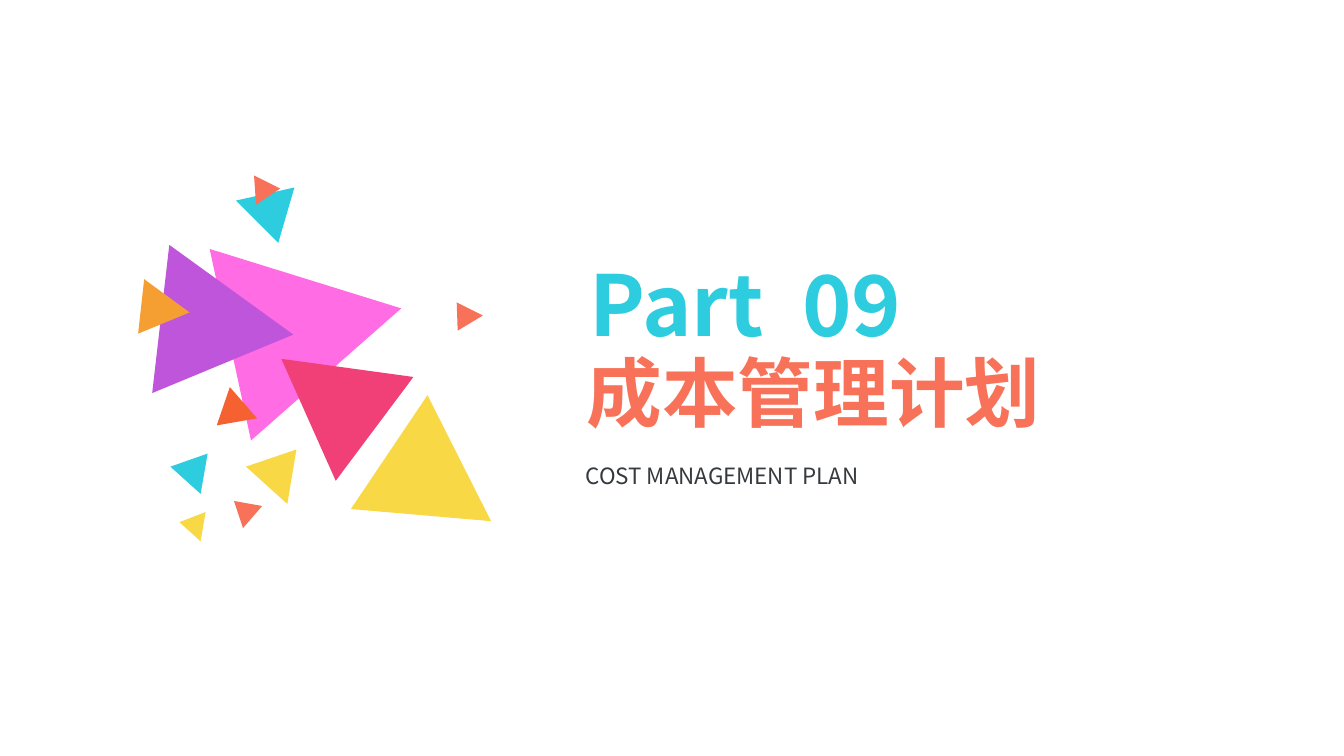
from dataclasses import dataclass

from pptx import Presentation
from pptx.dml.color import RGBColor
from pptx.enum.text import MSO_ANCHOR, MSO_AUTO_SIZE
from pptx.oxml.ns import qn
from pptx.util import Inches, Pt


@dataclass(frozen=True)
class Theme:
    font: str = "Noto Sans CJK SC"
    cyan: str = "2DCCDF"
    pink: str = "FF6CE4"
    purple: str = "BF55DB"
    amber: str = "F59E32"
    orange: str = "F56130"
    yellow: str = "F8D845"
    coral: str = "F77258"
    crimson: str = "F04077"
    ink: str = "353A3E"
    part_size: int = 60
    title_size: int = 54
    subtitle_size: int = 16


THEME = Theme()

TRIANGLES = [
    (THEME.cyan, [(2.92, 1.86), (2.76, 2.41), (2.34, 1.99)]),
    (THEME.pink, [(2.49, 4.37), (2.08, 2.47), (3.98, 3.06)]),
    (THEME.purple, [(1.51, 3.9), (1.68, 2.43), (2.91, 3.32)]),
    (THEME.amber, [(1.37, 3.31), (1.43, 2.77), (1.88, 3.1)]),
    (THEME.orange, [(2.15, 4.22), (2.28, 3.84), (2.55, 4.15)]),
    (THEME.cyan, [(1.69, 4.63), (2.06, 4.5), (1.99, 4.9)]),
    (THEME.yellow, [(1.78, 5.18), (2.04, 5.08), (1.99, 5.37)]),
    (THEME.coral, [(2.41, 5.24), (2.32, 4.97), (2.6, 5.02)]),
    (THEME.yellow, [(2.44, 4.63), (2.94, 4.46), (2.85, 5)]),
    (THEME.yellow, [(3.48, 5.05), (4.24, 3.92), (4.87, 5.17)]),
    (THEME.crimson, [(4.1, 3.74), (3.33, 4.77), (2.79, 3.56)]),
    (THEME.coral, [(4.54, 3.28), (4.53, 3), (4.79, 3.13)]),
    (THEME.coral, [(2.54, 2.03), (2.52, 1.74), (2.78, 1.87)]),
]


def add_triangle(page, color, corners):
    points = [(Inches(x), Inches(y)) for x, y in corners]
    builder = page.shapes.build_freeform(*points[0])
    builder.add_line_segments(points[1:], close=True)
    triangle = builder.convert_to_shape()
    triangle.shadow.inherit = False
    triangle.fill.solid()
    triangle.fill.fore_color.rgb = RGBColor.from_string(color)
    triangle.line.fill.background()


def add_text(page, text, *, left, top, width, height, size, color, bold=False):
    box = page.shapes.add_textbox(
        Inches(left), Inches(top), Inches(width), Inches(height)
    )
    frame = box.text_frame
    frame.word_wrap = True
    frame.auto_size = MSO_AUTO_SIZE.NONE
    frame.vertical_anchor = MSO_ANCHOR.MIDDLE
    span = frame.paragraphs[0].add_run()
    span.text = text
    span.font.name = THEME.font
    span.font.size = Pt(size)
    span.font.bold = bold
    span.font.color.rgb = RGBColor.from_string(color)
    east_asian = span.font._element.makeelement(
        qn("a:ea"), {"typeface": THEME.font}
    )
    span.font._element.find(qn("a:latin")).addnext(east_asian)


def main():
    deck = Presentation()
    deck.slide_width = Inches(13.33)
    deck.slide_height = Inches(7.5)
    page = deck.slides.add_slide(deck.slide_layouts[6])

    for color, corners in TRIANGLES:
        add_triangle(page, color, corners)

    add_text(page, "Part  09", left=5.75, top=2.45, width=4.5, height=1.11,
             size=THEME.part_size, color=THEME.cyan, bold=True)
    add_text(page, "成本管理计划", left=5.72, top=3.38, width=7.08, height=1.01,
             size=THEME.title_size, color=THEME.coral, bold=True)
    add_text(page, "COST MANAGEMENT PLAN", left=5.71, top=4.53, width=6.62,
             height=0.37, size=THEME.subtitle_size, color=THEME.ink)

    deck.save("out.pptx")


main()
